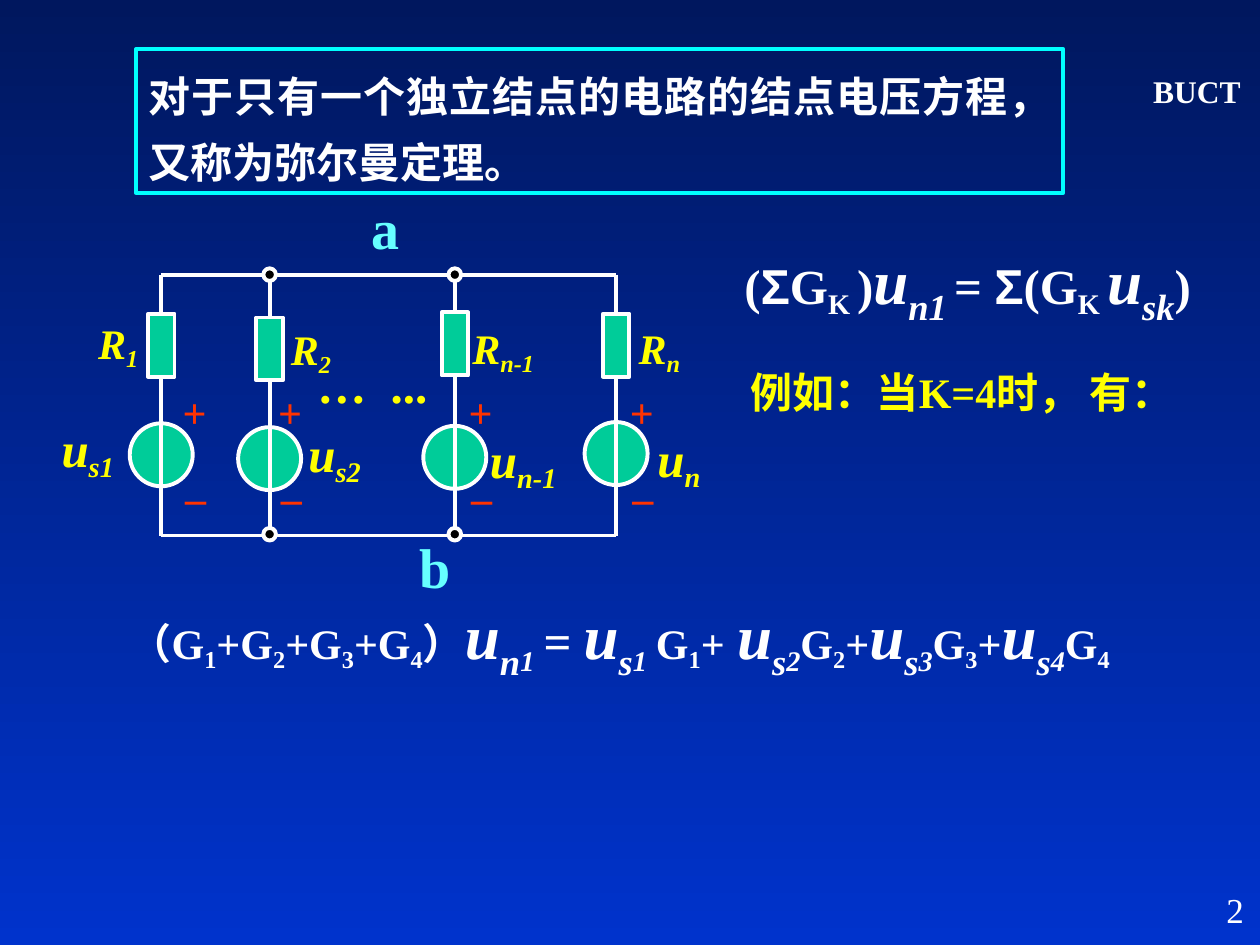
from lxml.etree import SubElement
from pptx import Presentation
from pptx.dml.color import RGBColor
from pptx.enum.shapes import MSO_CONNECTOR, MSO_SHAPE as Shape
from pptx.enum.text import MSO_ANCHOR as Anchor, MSO_AUTO_SIZE as AutoSize, PP_ALIGN as Align
from pptx.oxml.ns import qn
from pptx.util import Inches, Pt

WHITE = RGBColor(0xFF, 0xFF, 0xFF)
BLACK = RGBColor(0, 0, 0)
YELLOW = RGBColor(0xFF, 0xFF, 0)
CYAN = RGBColor(0, 0xFF, 0xFF)
PALE_CYAN = RGBColor(0x66, 0xFF, 0xFF)
GREEN = RGBColor(0, 0xCC, 0x99)
RED = RGBColor(0xFF, 0x33, 0)
NAVY = RGBColor(0, 0x17, 0x5E)
BLUE = RGBColor(0, 0x33, 0xCC)
SERIF, SANS = "Times New Roman", "Arial"

# Content
STATEMENT = "对于只有一个独立结点的电路的结点电压方程，又称为弥尔曼定理。"
EXAMPLE = "例如：当K=4时， 有："

# Wire x, resistor top, source top, plus left, then (subscript, left, top, width) of each label
BRANCHES = [
    (1.28, 2.49, 3.36, 1.35, ("1", 0.68, 2.38, 0.87), ("s1", 0.39, 3.17, 0.87)),
    (2.14, 2.52, 3.39, 2.11, ("2", 2.21, 2.43, 0.64), ("s2", 2.35, 3.21, 0.87)),
    (3.61, 2.48, 3.38, 3.62, ("n-1", 3.65, 2.42, 1.03), ("n-1", 3.79, 3.26, 0.87)),
    (4.89, 2.49, 3.35, 4.90, ("n", 4.97, 2.42, 0.64), ("n", 5.12, 3.25, 0.74)),
]
TOP_RAIL, BOTTOM_RAIL = 2.18, 4.25
RESISTOR_W, RESISTOR_H, SOURCE_D, NODE_D = 0.21, 0.5, 0.5, 0.1

# Run formats of the formulas
SUB = {"baseline": -20}
BIG = {"size": 36, "italic": True}
BIG_SUB = {**BIG, "baseline": -25}
SMALL_SUB = {**BIG_SUB, "size": 28}
SIGMA = {"name": SANS}


def conductance(number):
    return [("G", {}), (number, SUB)]


def voltage(letter, number):
    return [("u", BIG), (letter, BIG_SUB), (number, SMALL_SUB)]


MILLMAN = [
    ("(", {}), ("Σ", SIGMA), ("G", {}), ("K ", SUB), (")", {}),
    ("u", BIG), ("n1", BIG_SUB), (" ", {"italic": True, **SUB}), ("= ", {}),
    ("Σ", SIGMA), ("(G", {}), ("K ", SUB), ("u", BIG), ("sk", BIG_SUB), (")", {}),
]


def example_formula():
    plus = ("+", {})
    runs = [("（", {})]
    for number in "1234":
        runs += ([plus] if number > "1" else []) + conductance(number)
    runs += [("）", {}), *voltage("n", "1"), (" ", BIG_SUB), ("= ", {"size": 28})]
    for number in "1234":
        if number > "1":
            runs.append(plus)
        if number == "2":
            runs.append((" ", {"size": 28}))
        runs += voltage("s", number)
        if number == "1":
            runs.append((" ", {"size": 20}))
        runs += conductance(number)
    return runs


def write(box, runs, color, size, align=Align.LEFT, spacing=1.0, anchor=Anchor.TOP, **base):
    frame = box.text_frame
    settings = {"word_wrap": True, "auto_size": AutoSize.NONE, "vertical_anchor": anchor,
                "margin_left": Inches(0.1), "margin_right": Inches(0.1),
                "margin_top": Inches(0.05), "margin_bottom": Inches(0.05)}
    for key, value in settings.items():
        setattr(frame, key, value)
    para = frame.paragraphs[0]
    para.alignment, para.line_spacing, para.space_before = align, spacing, Pt(0)
    for text, extra in runs:
        span = para.add_run()
        span.text = text
        look = {"name": SERIF, "size": size, "bold": True, "italic": False, **base, **extra}
        baseline, gap = look.pop("baseline", 0), look.pop("gap", 0)
        look["size"] = Pt(look["size"])
        for key, value in look.items():
            setattr(span.font, key, value)
        span.font.color.rgb = color
        if baseline:
            span.font._element.set("baseline", str(baseline * 1000))
        if gap:
            span.font._element.set("spc", str(gap * 100))


def add_text(parent, place, runs, color, size, **options):
    box = parent.add_textbox(*map(Inches, place))
    write(box, [(runs, {})] if isinstance(runs, str) else runs, color, size, **options)


def add_solid(parent, kind, place, fill):
    shape = parent.add_shape(kind, *map(Inches, place))
    shape.shadow.inherit = False
    shape.fill.solid()
    shape.fill.fore_color.rgb = fill
    shape.line.color.rgb, shape.line.width = WHITE, Pt(2.25)


def add_wire(parent, *ends):
    wire = parent.add_connector(MSO_CONNECTOR.STRAIGHT, *map(Inches, ends))
    wire.line.color.rgb, wire.line.width = WHITE, Pt(2.25)
    SubElement(wire._element.spPr, qn("a:effectLst"))


def add_circuit(parent):
    # Sources lie under the wires, resistors and nodes above them
    for x, _, source_top, *_ in BRANCHES:
        add_solid(parent, Shape.OVAL, (x - SOURCE_D / 2, source_top, SOURCE_D, SOURCE_D), GREEN)
    for x, *_ in BRANCHES:
        add_wire(parent, x, TOP_RAIL, x, BOTTOM_RAIL)
    for y in (TOP_RAIL, BOTTOM_RAIL):
        add_wire(parent, BRANCHES[0][0], y, BRANCHES[-1][0], y)
    for x, *_ in BRANCHES[1:-1]:
        for y in (TOP_RAIL, BOTTOM_RAIL - 0.01):
            add_solid(parent, Shape.OVAL, (x - NODE_D / 2, y - NODE_D / 2, NODE_D, NODE_D), BLACK)

    for x, resistor_top, _, plus_left, resistor, source in BRANCHES:
        add_solid(parent, Shape.RECTANGLE,
                  (x - RESISTOR_W / 2, resistor_top, RESISTOR_W, RESISTOR_H), GREEN)
        for sign, left, top in (("+", plus_left, 2.94), ("–", plus_left + 0.02, 3.61)):
            add_text(parent, (left, top, 0.38, 0.58), sign, RED, 24, spacing=1.2)
        for letter, size, height, label in (("R", 24, 0.63, resistor), ("u", 28, 0.72, source)):
            subscript, left, top, width = label
            add_text(parent, (left, top, width, height), [(letter, {}), (subscript, SUB)],
                     YELLOW, size, spacing=1.2, italic=True)

    add_text(parent, (2.42, 2.67, 1.11, 0.66), [("…", {}), (" ", {"gap": 7}), ("...", {})],
             YELLOW, 28, spacing=1.2)
    add_text(parent, (2.85, 1.49, 0.47, 0.64), "a", PALE_CYAN, 32)
    add_text(parent, (3.23, 4.18, 0.44, 0.64), "b", PALE_CYAN, 32)


def main():
    deck = Presentation()
    deck.slide_width, deck.slide_height = Inches(10), Inches(7.5)
    page = deck.slides.add_slide(deck.slide_layouts[5])

    # Background
    fill = page.background.fill
    fill.gradient()
    fill.gradient_angle = 270
    for stop, color, position in zip(fill.gradient_stops, (NAVY, BLUE), (0, 1)):
        stop.color.rgb, stop.position = color, position

    # School name
    add_text(page.shapes, (8.97, 0.55, 1.06, 0.34), "BUCT", WHITE, 18,
             align=Align.CENTER, anchor=Anchor.MIDDLE)

    # Framed statement
    title = page.shapes.title
    title.left, title.top, title.width, title.height = map(Inches, (1.08, 0.39, 7.36, 1.14))
    title.line.color.rgb, title.line.width = CYAN, Pt(2.25)
    write(title, [(STATEMENT, {})], WHITE, 24, align=Align.JUSTIFY, spacing=1.3)

    # Circuit
    add_circuit(page.shapes.add_group_shape().shapes)

    # Formulas and page number
    add_text(page.shapes, (5.31, 1.73, 4.74, 0.92), MILLMAN, WHITE, 28,
             align=Align.CENTER, spacing=1.2)
    add_text(page.shapes, (5.86, 2.78, 3.88, 0.58), EXAMPLE, YELLOW, 24, spacing=1.2)
    add_text(page.shapes, (0.93, 4.55, 8.81, 0.92), example_formula(), WHITE, 24, spacing=1.2)
    add_text(page.shapes, (7.89, 7, 2.08, 0.5), "2", WHITE, 20, align=Align.RIGHT, bold=False)

    deck.save("out.pptx")


if __name__ == "__main__":
    main()
